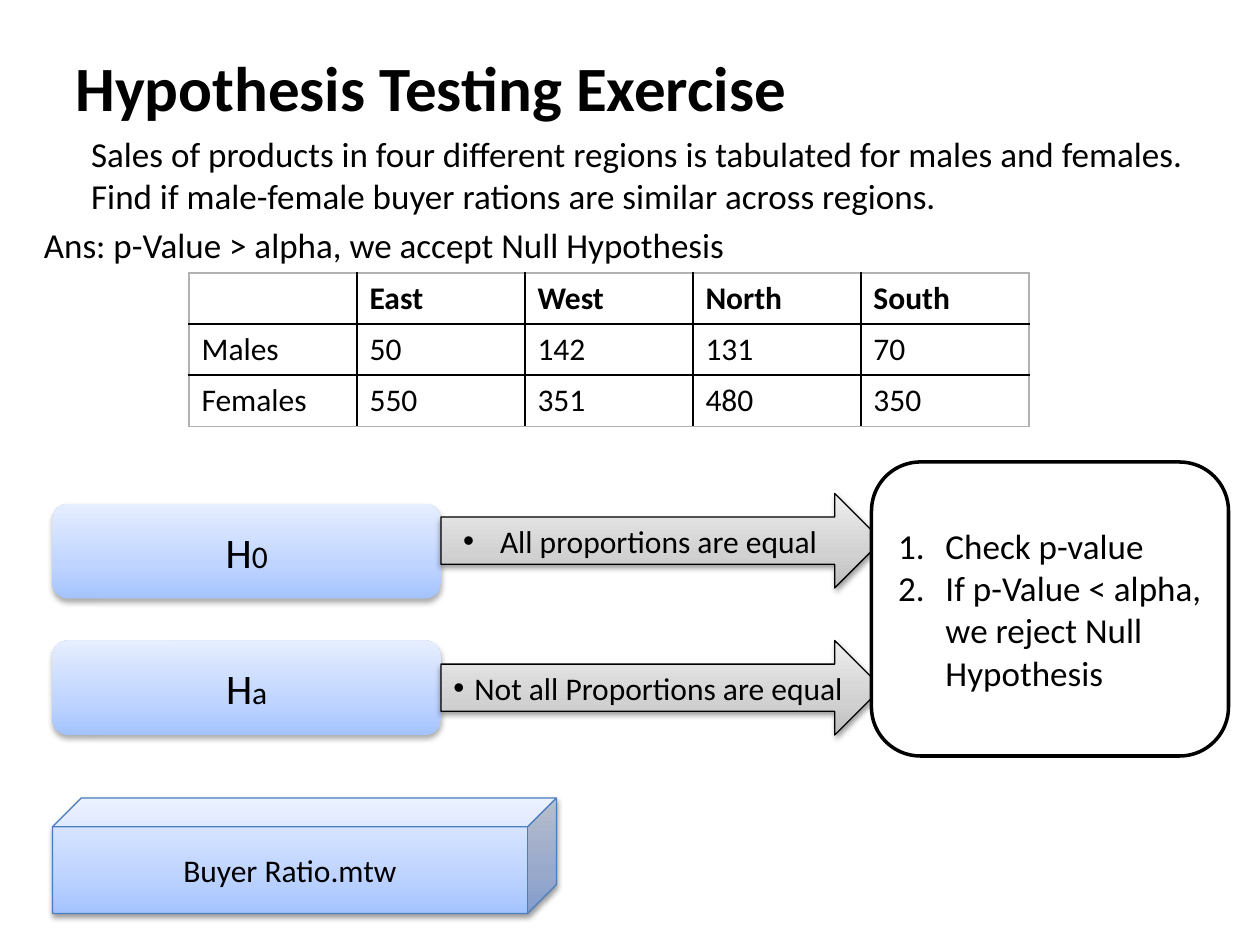
from lxml.etree import SubElement
from pptx import Presentation
from pptx.dml.color import RGBColor
from pptx.enum.shapes import MSO_SHAPE
from pptx.enum.text import MSO_ANCHOR, PP_ALIGN
from pptx.oxml import parse_xml
from pptx.oxml.ns import nsdecls, qn
from pptx.util import Pt

FONT = "Calibri"
BLACK = "000000"
BLUE = ("A4C4FF", "BFD4FF", "E6EEFF")
GREY = ("BDBDBD", "D1D1D1", "EEEEEE")
FLAT_SHADOW = (32, 3.5, 2.2)
RAISED_SHADOW = (38, 3.1, 1.6)


def color(hex_string):
    return RGBColor.from_string(hex_string)


def style(paragraph, size, bold=False):
    for run in paragraph.runs:
        run.font.name = FONT
        run.font.size = Pt(size)
        run.font.bold = bold
        run.font.color.rgb = color(BLACK)


def indent(paragraph, left, first):
    properties = paragraph._p.get_or_add_pPr()
    properties.set("marL", str(Pt(left)))
    properties.set("indent", str(Pt(first)))


def add_bullet(paragraph, number_style=None):
    properties = paragraph._p.get_or_add_pPr()
    if number_style:
        SubElement(properties, qn("a:buFont"), typeface="+mj-lt")
        SubElement(properties, qn("a:buAutoNum"), type=number_style)
    else:
        SubElement(properties, qn("a:buFont"), typeface="Arial")
        SubElement(properties, qn("a:buChar"), char="•")


def add_text(slide, box, lines, size, bold=False, anchor=MSO_ANCHOR.TOP):
    frame = slide.shapes.add_textbox(*map(Pt, box)).text_frame
    frame.word_wrap = True
    frame.vertical_anchor = anchor
    frame.text = "\n".join(lines)
    for paragraph in frame.paragraphs:
        style(paragraph, size, bold)
    return frame


def set_gradient(shape, stops):
    shape.fill.gradient()
    gradient = shape._element.spPr.find(qn("a:gradFill"))
    marks = "".join(
        f'<a:gs pos="{place}000"><a:srgbClr val="{stop}"/></a:gs>'
        for place, stop in zip((0, 35, 100), stops))
    gradient.getparent().replace(gradient, parse_xml(
        f'<a:gradFill {nsdecls("a")} rotWithShape="1"><a:gsLst>{marks}</a:gsLst>'
        '<a:lin ang="16200000" scaled="0"/></a:gradFill>'))


def set_shadow(shape, opacity, blur, distance):
    effects = shape._element.spPr.find(qn("a:effectLst"))
    effects.append(parse_xml(
        f'<a:outerShdw {nsdecls("a")} blurRad="{Pt(blur)}" dist="{Pt(distance)}" '
        f'dir="5400000" rotWithShape="0"><a:srgbClr val="{BLACK}">'
        f'<a:alpha val="{opacity}000"/></a:srgbClr></a:outerShdw>'))


def add_box(slide, kind, box, gradient=None, line=None, width=0.75, shadow=None):
    shape = slide.shapes.add_shape(kind, *map(Pt, box))
    shape.shadow.inherit = False
    if line:
        shape.line.color.rgb = color(line)
        shape.line.width = Pt(width)
    else:
        shape.line.fill.background()
    if gradient:
        set_gradient(shape, gradient)
    else:
        shape.fill.solid()
        shape.fill.fore_color.rgb = color("FFFFFF")
    if shadow:
        set_shadow(shape, *shadow)
    shape.text_frame.word_wrap = True
    shape.text_frame.vertical_anchor = MSO_ANCHOR.MIDDLE
    return shape.text_frame


def write_centred(frame, text, size=18):
    frame.text = text
    label = frame.paragraphs[0]
    label.alignment = PP_ALIGN.CENTER
    style(label, size)
    return label


def add_hypothesis(slide, top, letter, arrow_top, claim):
    name = add_box(slide, MSO_SHAPE.ROUNDED_RECTANGLE, (30, top, 222, 54),
                   BLUE, shadow=FLAT_SHADOW)
    symbol = write_centred(name, "H", 24)
    symbol.add_run().text = letter
    style(symbol, 24)
    symbol.runs[1].font.size = Pt(18)
    arrow = add_box(slide, MSO_SHAPE.RIGHT_ARROW, (252, arrow_top, 252, 54),
                    GREY, BLACK, shadow=RAISED_SHADOW)
    add_bullet(write_centred(arrow, claim))


def set_borders(cell, edge_colors):
    properties = cell._tc.get_or_add_tcPr()
    for position, (side, edge) in enumerate(edge_colors.items()):
        properties.insert(position, parse_xml(
            f'<a:{side} {nsdecls("a")} w="{Pt(1)}"><a:solidFill>'
            f'<a:srgbClr val="{edge}"/></a:solidFill></a:{side}>'))


def add_sales_table(slide, rows):
    height, width = len(rows), len(rows[0])
    table = slide.shapes.add_table(
        height, width, Pt(108), Pt(156), Pt(480), Pt(87.6)).table
    for row in table.rows:
        row.height = Pt(29.2)
    for r, row in enumerate(rows):
        for c, value in enumerate(row):
            cell = table.cell(r, c)
            cell.fill.background()
            cell.text = value
            style(cell.text_frame.paragraphs[0], 18, bold=r == 0)
            outer = {"lnL": c == 0, "lnR": c == width - 1,
                     "lnT": r == 0, "lnB": r == height - 1}
            set_borders(cell, {side: "B2B2B2" if is_outer else BLACK
                               for side, is_outer in outer.items()})


def main():
    deck = Presentation()
    deck.slide_width, deck.slide_height = Pt(720), Pt(540)
    slide = deck.slides.add_slide(deck.slide_layouts[6])

    # Title, question and answer
    add_text(slide, (36, 21.6, 648, 56), ["Hypothesis Testing Exercise"],
             36, True, MSO_ANCHOR.MIDDLE)
    exercise = add_text(slide, (18, 72, 690, 84), [
        "Sales of products in four different regions is tabulated for males "
        "and females. Find if male-female buyer rations are similar across regions.",
        "Ans: p-Value > alpha, we accept Null Hypothesis"], 20)
    for paragraph, first in zip(exercise.paragraphs, (0, -27)):
        indent(paragraph, 27, first)
        paragraph.space_before = Pt(4)

    # Sales by region
    add_sales_table(slide, [
        ("", "East", "West", "North", "South"),
        ("Males", "50", "142", "131", "70"),
        ("Females", "550", "351", "480", "350")])

    # Hypotheses and their claims
    add_hypothesis(slide, 288, "0", 282, " All proportions are equal")
    add_hypothesis(slide, 366, "a", 366, " Not all Proportions are equal")

    # Decision steps
    decision = add_box(slide, MSO_SHAPE.ROUNDED_RECTANGLE, (498, 264, 204, 168),
                       line=BLACK, width=2)
    decision.text = ("Check p-value\n"
                     "If p-Value < alpha, we reject Null Hypothesis")
    for step in decision.paragraphs:
        step.alignment = PP_ALIGN.LEFT
        indent(step, 27, -27)
        add_bullet(step, "arabicPeriod")
        style(step, 20)

    # Data file
    data_file = add_box(slide, MSO_SHAPE.CUBE, (30, 456, 288, 66),
                        BLUE, "4B7EBC", shadow=RAISED_SHADOW)
    write_centred(data_file, "Buyer Ratio.mtw")

    deck.save("out.pptx")


main()
